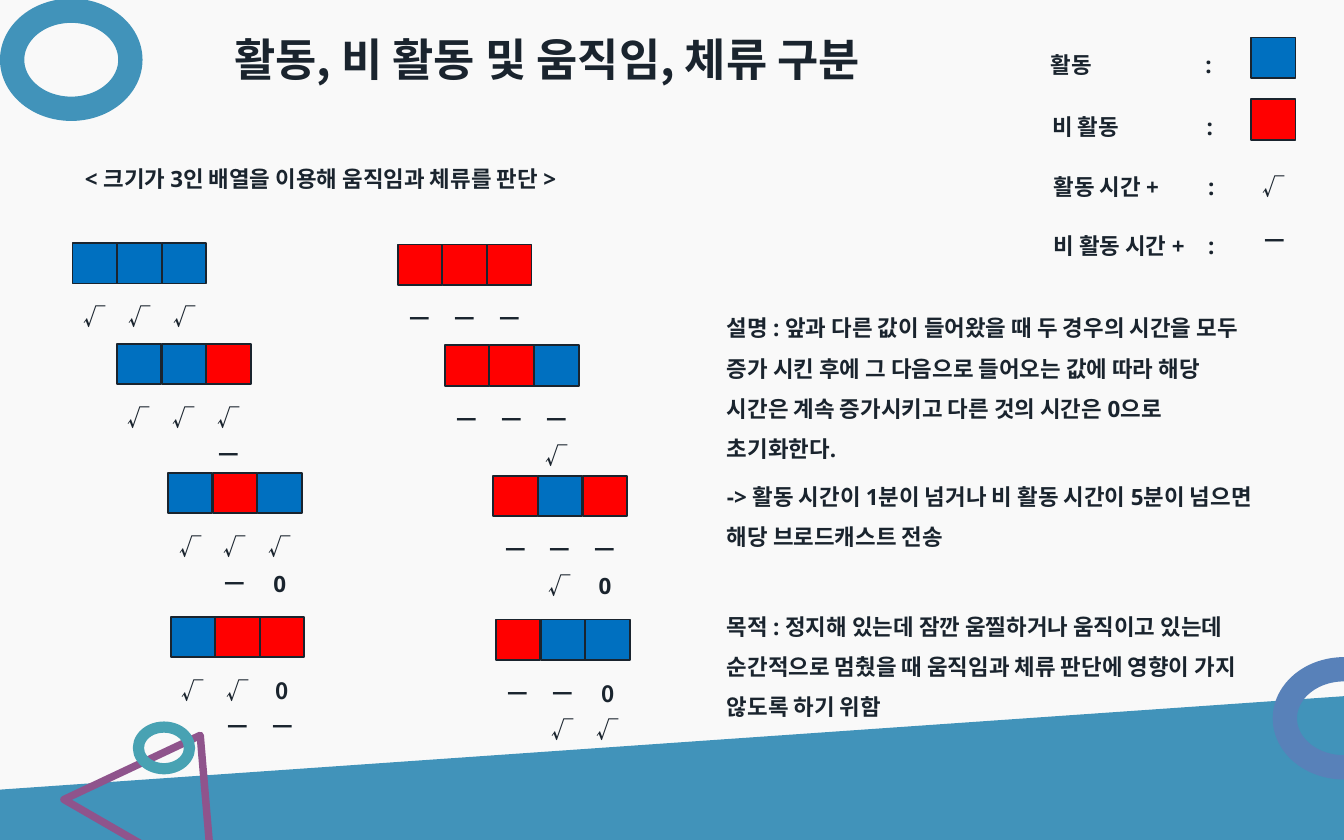
from pptx import Presentation
from pptx.dml.color import RGBColor
from pptx.enum.shapes import MSO_SHAPE
from pptx.enum.text import MSO_ANCHOR, MSO_AUTO_SIZE, PP_ALIGN
from pptx.oxml.ns import qn
from pptx.util import Inches, Pt
from lxml import etree

RECTANGLE = MSO_SHAPE.RECTANGLE
ELLIPSE = MSO_SHAPE.OVAL
TRIANGLE = MSO_SHAPE.ISOSCELES_TRIANGLE
TRAPEZOID = MSO_SHAPE.TRAPEZOID
LEFT, CENTER = PP_ALIGN.LEFT, PP_ALIGN.CENTER
TOP, MIDDLE = MSO_ANCHOR.TOP, MSO_ANCHOR.MIDDLE
FIT_SHAPE = MSO_AUTO_SIZE.SHAPE_TO_FIT_TEXT

COLORS = {
    "background": "F9F9F9",
    "ink": "1A242E",
    "active": "0070C0",
    "inactive": "FF0000",
    "wave": "4193BA",
    "violet_blue": "5881B9",
    "plum": "8F548C",
    "teal": "48A2B3",
}
KOREAN_FONT = "Noto Sans CJK KR"
LATIN_FONT = "Open Sans"
CHECK, DASH = "√", "ㅡ"
SQUARE_WIDTH, SQUARE_HEIGHT, SQUARE_STEP = 0.33, 0.3, 0.333
MARK_WIDTH = 0.45
MARK_ROW_OFFSETS = (0.3, 0.57)
COLON_TAB = 1.15

# Left, top, square states (A active, I inactive), two rows of marks (. is empty)
SEQUENCES = [
    (0.54, 1.81, "AAA", ("√√√", "...")),
    (0.87, 2.56, "AAI", ("√√√", "..ㅡ")),
    (1.25, 3.52, "AIA", ("√√√", ".ㅡ0")),
    (1.27, 4.59, "AII", ("√√0", ".ㅡㅡ")),
    (2.96, 1.82, "III", ("ㅡㅡㅡ", "...")),
    (3.31, 2.57, "IIA", ("ㅡㅡㅡ", "..√")),
    (3.67, 3.54, "IAI", ("ㅡㅡㅡ", ".√0")),
    (3.69, 4.61, "IAA", ("ㅡㅡ0", ".√√")),
]
STATES = {"A": "active", "I": "inactive"}
LEGEND_LABELS = [
    (7.72, 0.23, "활동"),
    (7.73, 0.69, "비 활동"),
    (7.74, 1.14, "활동 시간 +"),
    (7.74, 1.58, "비 활동 시간 +"),
]
DESCRIPTION = [
    "설명 : 앞과 다른 값이 들어왔을 때 두 경우의 시간을 모두 증가 시킨 후에 그 다음으로 "
    "들어오는 값에 따라 해당 시간은 계속 증가시키고 다른 것의 시간은 0으로 초기화한다.",
    "-> 활동 시간이 1분이 넘거나 비 활동 시간이 5분이 넘으면 해당 브로드캐스트 전송",
]
PURPOSE = [
    "목적 : 정지해 있는데 잠깐 움찔하거나 움직이고 있는데 순간적으로 멈췄을 때 "
    "움직임과 체류 판단에 영향이 가지 않도록 하기 위함",
]


def rgb(name):
    return RGBColor.from_string(COLORS[name])


class SlideBuilder:
    def __init__(self, page):
        self.page = page
        self.shapes = page.shapes

    def background(self, color):
        fill = self.page.background.fill
        fill.solid()
        fill.fore_color.rgb = rgb(color)

    def start_group(self):
        self.shapes = self.page.shapes.add_group_shape().shapes

    def end_group(self):
        self.shapes = self.page.shapes

    def shape(self, kind, bounds, fill=None, line=None, weight=1, rotation=0):
        shape = self.shapes.add_shape(kind, *map(Inches, bounds))
        shape.shadow.inherit = False
        shape.rotation = rotation
        if fill:
            shape.fill.solid()
            shape.fill.fore_color.rgb = rgb(fill)
        else:
            shape.fill.background()
        if line:
            shape.line.color.rgb = rgb(line)
            shape.line.width = Pt(weight)
        else:
            shape.line.fill.background()

    def square(self, left, top, state):
        self.shape(RECTANGLE, (left, top, SQUARE_WIDTH, SQUARE_HEIGHT), state, "ink")

    def text(self, bounds, paragraphs, align=LEFT, font=LATIN_FONT, size=12,
             spacing=1.5, gap=0, anchor=TOP, tab=None):
        """Gap is the space in points before each paragraph after the first."""
        box = self.shapes.add_textbox(*map(Inches, bounds))
        frame = box.text_frame
        frame.word_wrap = True
        frame.vertical_anchor = anchor
        if anchor == TOP:
            frame.auto_size = FIT_SHAPE
        for index, content in enumerate(paragraphs):
            para = frame.add_paragraph() if index else frame.paragraphs[0]
            para.alignment = align
            para.line_spacing = spacing
            if index:
                para.space_before = Pt(gap)
            if tab:
                stops = etree.SubElement(para._p.get_or_add_pPr(), qn("a:tabLst"))
                etree.SubElement(stops, qn("a:tab"), pos=str(Inches(tab)), algn="l")
            span = para.add_run()
            span.text = content
            span.font.size = Pt(size)
            span.font.bold = True
            span.font.color.rgb = rgb("ink")
            span.font.name = font
            etree.SubElement(span._r.get_or_add_rPr(), qn("a:ea"), typeface=KOREAN_FONT)

    def mark(self, left, top, symbol, font, height=0.36):
        self.text((left, top, MARK_WIDTH, height), [symbol], CENTER, font)

    def sequence(self, left, top, states, mark_rows):
        """Three squares with two rows of marks centred below them."""
        for column, state in enumerate(states):
            self.square(left + column * SQUARE_STEP, top, STATES[state])
        for row, symbols in enumerate(mark_rows):
            for column, symbol in enumerate(symbols):
                if symbol == ".":
                    continue
                font = LATIN_FONT if row and symbol != CHECK else KOREAN_FONT
                height = 0.4 if symbol == CHECK and row == 0 else 0.36
                self.mark(left - 0.06 + column * SQUARE_STEP,
                          top + MARK_ROW_OFFSETS[row], symbol, font, height)

    def legend(self):
        self.start_group()
        for left, top, label in LEGEND_LABELS:
            self.text((left, top, 1.58, 0.4), [f"{label}\t:"], tab=COLON_TAB)
        self.square(9.31, 0.28, "active")
        self.square(9.31, 0.74, "inactive")
        self.mark(9.25, 1.14, CHECK, KOREAN_FONT, 0.4)
        self.mark(9.26, 1.54, DASH, LATIN_FONT)
        self.end_group()

    def decoration(self):
        self.shape(TRAPEZOID, (3.61, 1.57, 2.78, 10), fill="wave", rotation=270)
        self.shape(ELLIPSE, (9.56, 4.98, 0.88, 0.73), line="violet_blue", weight=13)
        self.shape(TRIANGLE, (0.62, 5.41, 1.28, 0.92), line="plum", weight=4, rotation=30)
        self.shape(ELLIPSE, (1.03, 5.41, 0.38, 0.31), line="teal", weight=6)
        self.shape(ELLIPSE, (0.09, 0.08, 0.88, 0.73), line="wave", weight=13)


def main():
    deck = Presentation()
    deck.slide_width, deck.slide_height = Inches(10), Inches(6.25)
    builder = SlideBuilder(deck.slides.add_slide(deck.slide_layouts[6]))
    builder.background("background")
    builder.decoration()
    builder.text((1.03, 0.23, 6.08, 0.46), ["활동, 비 활동 및 움직임, 체류 구분"],
                 CENTER, KOREAN_FONT, size=24, spacing=0.9, anchor=MIDDLE)
    builder.text((0.25, 1.08, 4.27, 0.4),
                 ["< 크기가 3인 배열을 이용해 움직임과 체류를 판단 >"], CENTER)
    builder.legend()
    for sequence in SEQUENCES:
        builder.sequence(*sequence)
    builder.text((5.31, 4.41, 4.15, 1.01), PURPOSE)
    builder.text((5.31, 2.19, 4.15, 1.97), DESCRIPTION, gap=4)
    deck.save("out.pptx")


if __name__ == "__main__":
    main()
